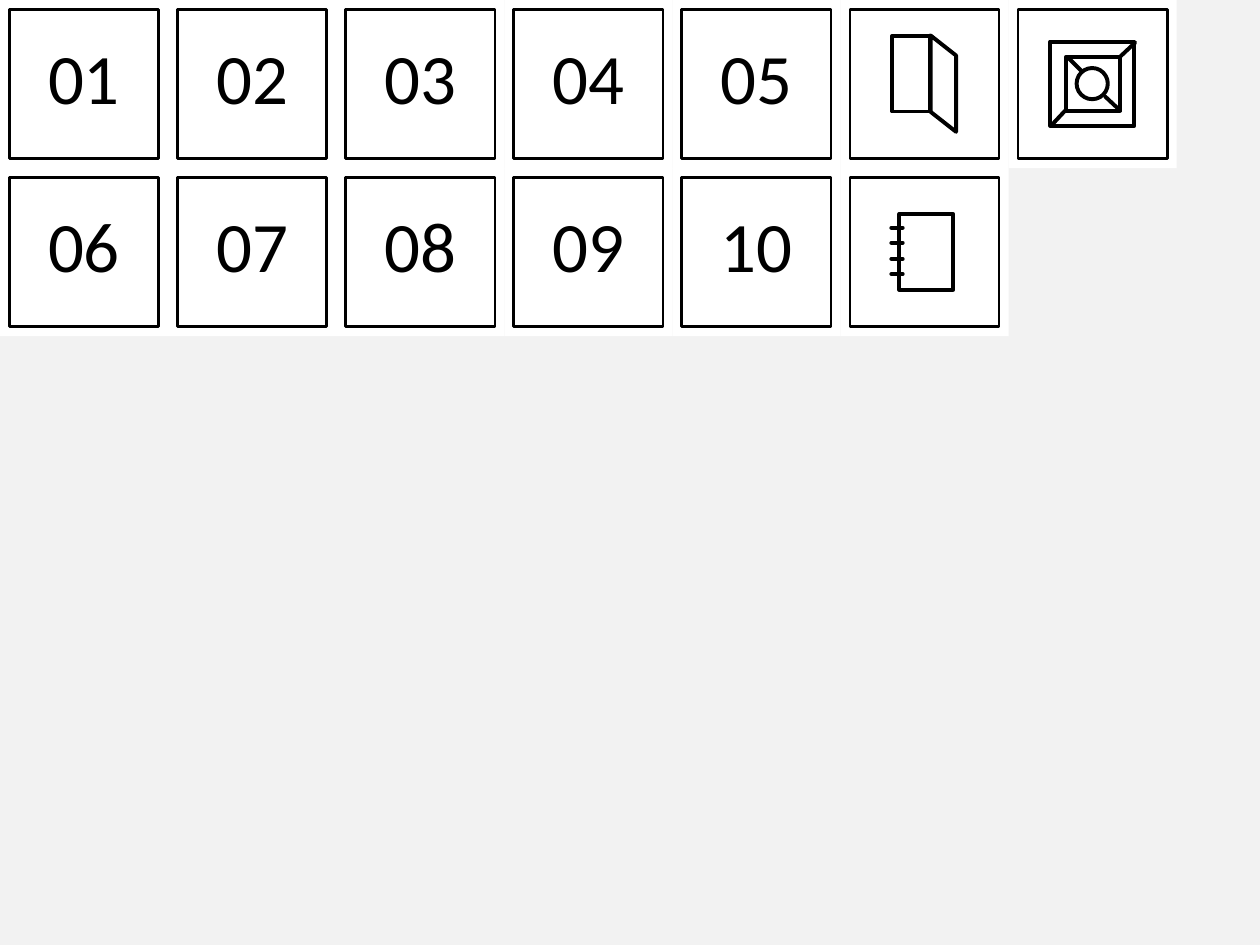
"""Build a sheet of square tiles holding the numbers 01 to 10 and three line icons."""
from dataclasses import dataclass

from pptx import Presentation
from pptx.dml.color import RGBColor
from pptx.enum.shapes import MSO_CONNECTOR, MSO_SHAPE
from pptx.enum.text import MSO_ANCHOR, PP_ALIGN
from pptx.oxml.ns import qn
from pptx.oxml.xmlchemy import OxmlElement
from pptx.util import Inches, Pt


@dataclass(frozen=True)
class Theme:
    background: RGBColor = RGBColor(0xF2, 0xF2, 0xF2)
    tile: RGBColor = RGBColor(0xFF, 0xFF, 0xFF)
    ink: RGBColor = RGBColor(0x00, 0x00, 0x00)
    font: str = "Calibri"
    number_size: Pt = Pt(54)
    border_width: Pt = Pt(2)
    icon_width: Pt = Pt(3)


theme = Theme()
TILE = 10.67 / 6
BORDER = 1.58
MARGIN = (TILE - BORDER) / 2
NUMBER_COLUMNS = 5


def add_outline(group, kind, left, top, width, height, line_width=theme.icon_width, rotation=0):
    shape = group.shapes.add_shape(kind, Inches(left), Inches(top), Inches(width), Inches(height))
    shape.shadow.inherit = False
    shape.fill.background()
    shape.line.color.rgb = theme.ink
    shape.line.width = line_width
    shape.rotation = rotation
    return shape


def add_stroke(group, start_x, start_y, end_x, end_y):
    connector = group.shapes.add_connector(
        MSO_CONNECTOR.STRAIGHT, Inches(start_x), Inches(start_y), Inches(end_x), Inches(end_y)
    )
    connector.line.color.rgb = theme.ink
    connector.line.width = theme.icon_width
    properties = connector._element.spPr
    properties.find(qn("a:ln")).set("cap", "rnd")
    properties.append(OxmlElement("a:effectLst"))


presentation = Presentation()
presentation.slide_width = Inches(13.33)
presentation.slide_height = Inches(10)
slide = presentation.slides.add_slide(presentation.slide_layouts[6])
slide.background.fill.solid()
slide.background.fill.fore_color.rgb = theme.background

tiles = [
    (f"{number + 1:02d}", number % NUMBER_COLUMNS, number // NUMBER_COLUMNS)
    for number in range(10)
]
tiles += [("leaflet", 5, 0), ("notebook", 5, 1), ("frame", 6, 0)]

groups = {}
for name, column, row in tiles:
    left, top = column * TILE, row * TILE
    group = slide.shapes.add_group_shape()
    groups[name] = group
    tile = group.shapes.add_shape(
        MSO_SHAPE.RECTANGLE, Inches(left), Inches(top), Inches(TILE), Inches(TILE)
    )
    tile.shadow.inherit = False
    tile.fill.solid()
    tile.fill.fore_color.rgb = theme.tile
    tile.line.fill.background()
    if name.isdigit():
        text_frame = tile.text_frame
        text_frame.text = name
        text_frame.word_wrap = False
        text_frame.vertical_anchor = MSO_ANCHOR.MIDDLE
        text_frame.margin_left = text_frame.margin_right = Inches(0.12)
        text_frame.margin_top = 0
        text_frame.margin_bottom = Inches(0.16)
        paragraph = text_frame.paragraphs[0]
        paragraph.alignment = PP_ALIGN.CENTER
        font = paragraph.runs[0].font
        font.name = theme.font
        font.size = theme.number_size
        font.color.rgb = theme.ink
    add_outline(
        group, MSO_SHAPE.RECTANGLE, left + MARGIN, top + MARGIN, BORDER, BORDER, theme.border_width
    )

leaflet = groups["leaflet"]
add_outline(leaflet, MSO_SHAPE.RECTANGLE, 9.24, 0.58, 0.8, 0.4, rotation=270)
flap = add_outline(leaflet, MSO_SHAPE.PARALLELOGRAM, 9.47, 0.75, 1.02, 0.27, rotation=270)
flap.adjustments[0] = 0.787

notebook = groups["notebook"]
add_outline(notebook, MSO_SHAPE.RECTANGLE, 9.4, 2.38, 0.8, 0.57, rotation=270)
for ring_y in (2.57, 2.41, 2.9, 2.74):
    add_stroke(notebook, 9.55, ring_y, 9.43, ring_y)

frame = groups["frame"]
add_outline(frame, MSO_SHAPE.RECTANGLE, 11.28, 0.6, 0.57, 0.57, rotation=270)
for stroke in (
    (11.85, 1.17, 11.69, 1.02),
    (11.45, 0.76, 11.29, 0.6),
    (11.12, 1.33, 11.27, 1.17),
    (11.85, 0.6, 12.01, 0.45),
):
    add_stroke(frame, *stroke)
add_outline(frame, MSO_SHAPE.RECTANGLE, 11.11, 0.44, 0.89, 0.89, rotation=270)
add_outline(frame, MSO_SHAPE.OVAL, 11.39, 0.72, 0.33, 0.33)

presentation.save("out.pptx")
